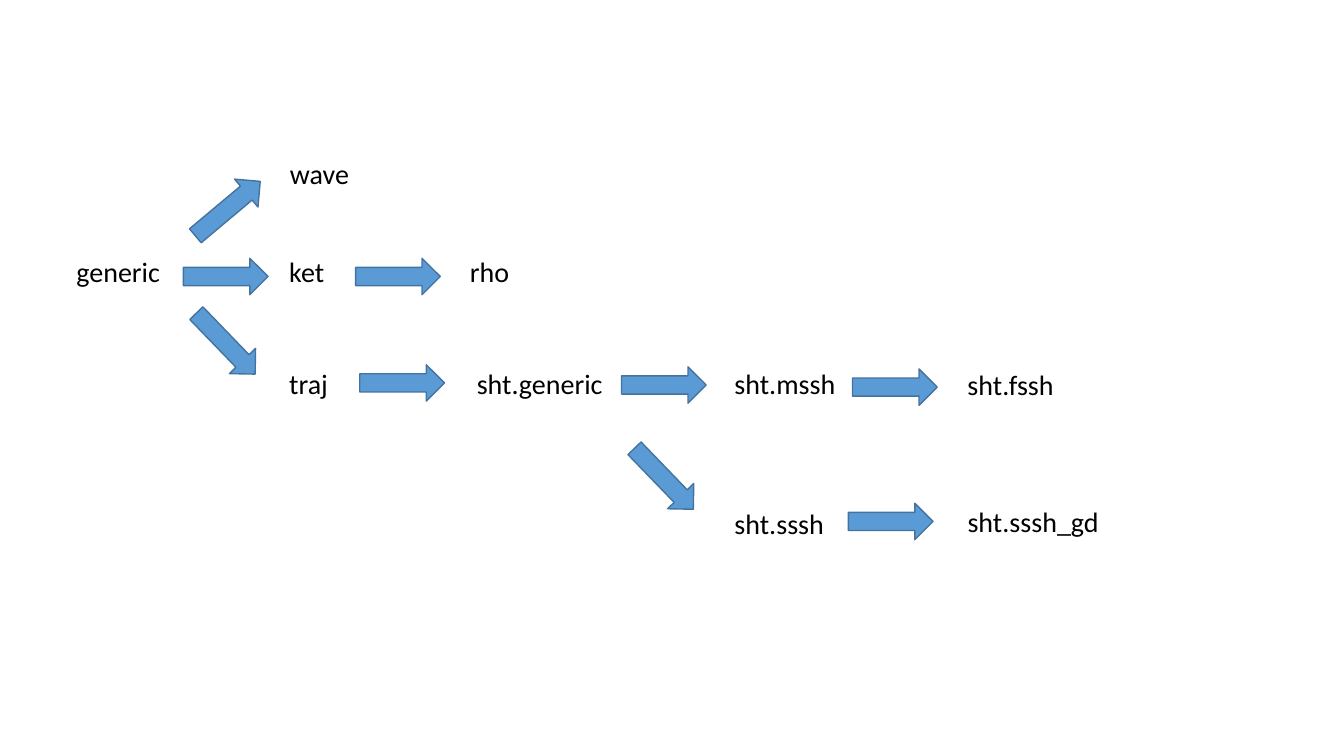
"""Draw the class hierarchy slide: labels joined by block arrows."""
from typing import NamedTuple

from pptx import Presentation
from pptx.dml.color import RGBColor
from pptx.enum.shapes import MSO_SHAPE
from pptx.enum.text import MSO_AUTO_SIZE
from pptx.util import Pt

RIGHT_ARROW = MSO_SHAPE.RIGHT_ARROW
FIT_SHAPE = MSO_AUTO_SIZE.SHAPE_TO_FIT_TEXT

LABEL_HEIGHT = 31.5
ARROW_WIDTH, ARROW_HEIGHT = 60.5, 26
UP, DOWN = 320, 46
TEXT, FILL, LINE = "000000", "5B9BD5", "43739E"
FONT_FORMAT = {"name": "Calibri", "size": Pt(20)}
FRAME_FORMAT = {"word_wrap": False, "auto_size": FIT_SHAPE}


class Label(NamedTuple):
    """A class name and the box that holds it, in points."""
    text: str
    left: float
    top: float
    width: float


class Arrow(NamedTuple):
    """A block arrow before rotation, in points and degrees."""
    left: float
    top: float
    rotation: float = 0


LABELS = [
    Label("generic", 47.5, 178.5, 75),
    Label("wave", 200, 108, 57),
    Label("ket", 199.5, 178.5, 39.5),
    Label("traj", 199.5, 258, 42.5),
    Label("rho", 328.5, 178.5, 42.5),
    Label("sht.generic", 333.5, 258, 105),
    Label("sht.mssh", 517.5, 258, 87),
    Label("sht.fssh", 684, 259, 77),
    Label("sht.sssh", 517.5, 358, 79),
    Label("sht.sssh_gd", 684, 357, 109.5),
]
ARROWS = [
    Arrow(131, 184.5),
    Arrow(132.5, 136, UP),
    Arrow(131, 232.5, DOWN),
    Arrow(254, 184.5),
    Arrow(257, 260.5),
    Arrow(444, 262),
    Arrow(444, 329, DOWN),
    Arrow(609, 263.5),
    Arrow(606, 359.5),
]


def color(value: str) -> RGBColor:
    """Turn a hex string into a colour."""
    return RGBColor.from_string(value)


def set_format(target: object, values: dict) -> None:
    """Set each named attribute on the target."""
    for name, value in values.items():
        setattr(target, name, value)


def add_label(shapes, label: Label) -> None:
    """Add one class name as a text box."""
    sp = shapes.add_textbox(Pt(label.left), Pt(label.top),
                            Pt(label.width), Pt(LABEL_HEIGHT))
    tf = sp.text_frame
    set_format(tf, FRAME_FORMAT)
    r = tf.paragraphs[0].add_run()
    r.text = label.text
    set_format(r.font, FONT_FORMAT)
    r.font.color.rgb = color(TEXT)


def add_arrow(shapes, arrow: Arrow) -> None:
    """Add one block arrow."""
    sp = shapes.add_shape(RIGHT_ARROW, Pt(arrow.left), Pt(arrow.top),
                          Pt(ARROW_WIDTH), Pt(ARROW_HEIGHT))
    sp.rotation = arrow.rotation
    sp.shadow.inherit = False
    sp.fill.solid()
    sp.fill.fore_color.rgb = color(FILL)
    sp.line.color.rgb = color(LINE)
    sp.line.width = Pt(1)


def main() -> None:
    """Build and save the slide."""
    prs = Presentation()
    set_format(prs, {"slide_width": Pt(960), "slide_height": Pt(540)})
    s = prs.slides.add_slide(prs.slide_layouts[6])
    for label in LABELS:
        add_label(s.shapes, label)
    for arrow in ARROWS:
        add_arrow(s.shapes, arrow)
    prs.save("out.pptx")


main()
